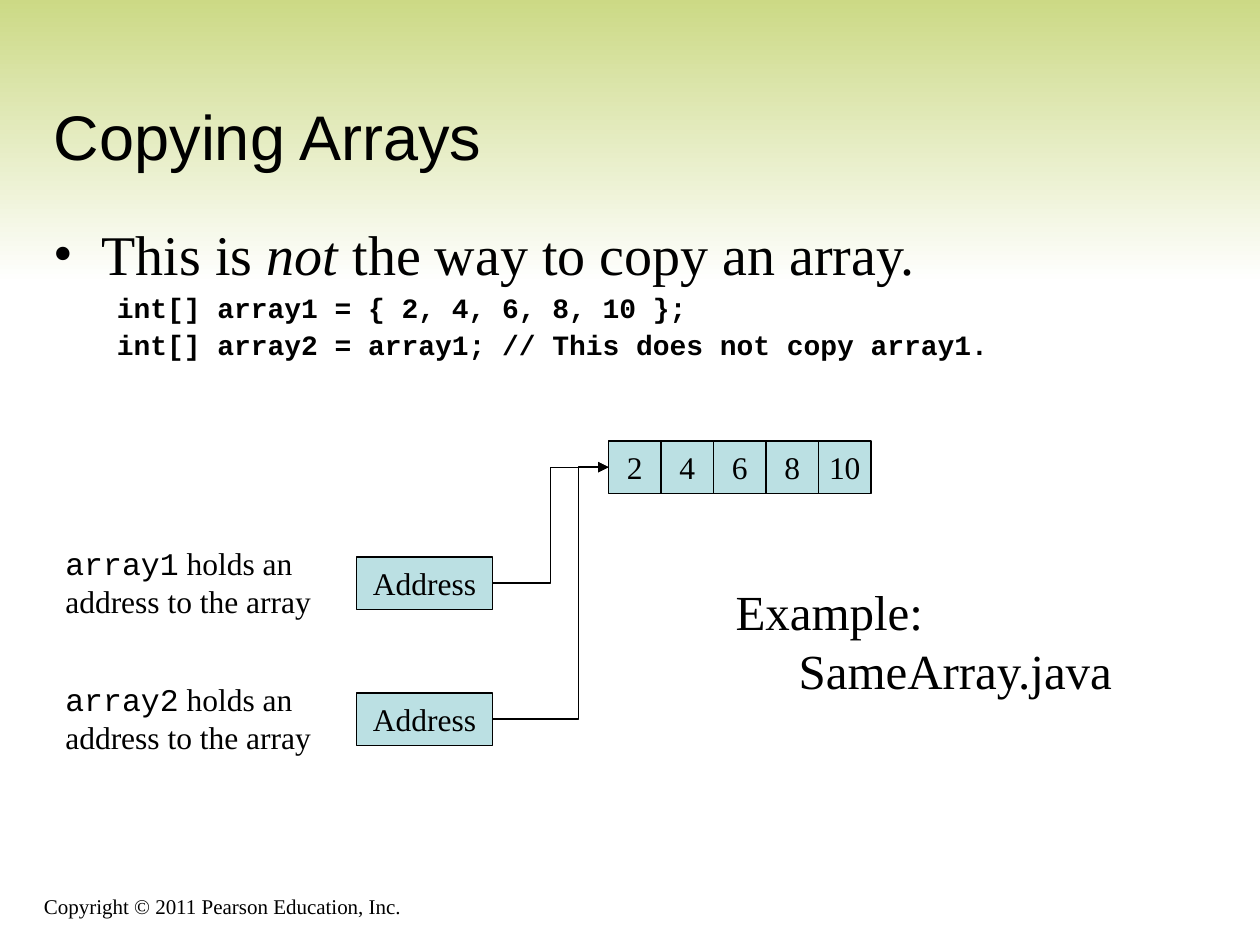
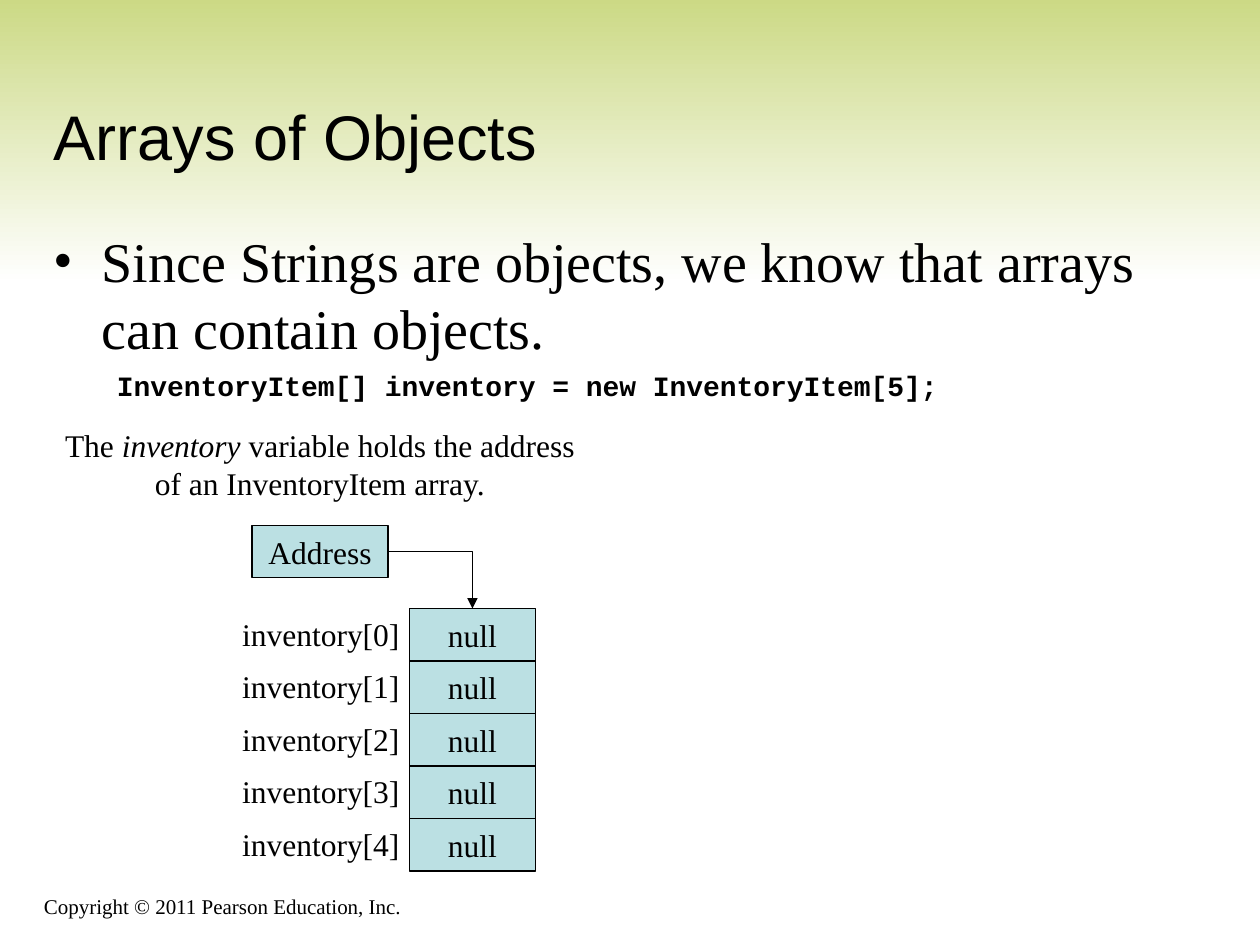
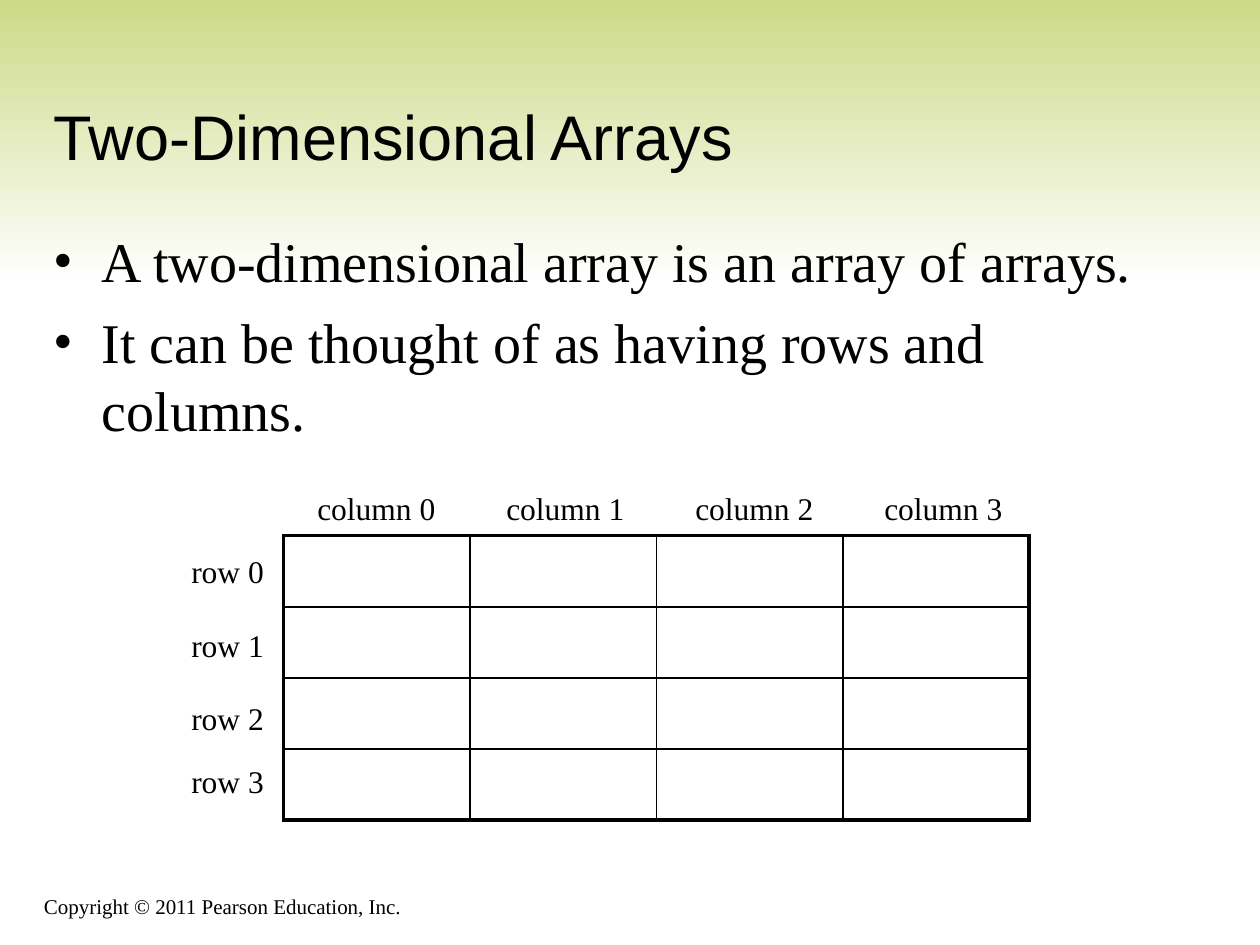
from pptx import Presentation
from pptx.dml.color import RGBColor
from pptx.enum.shapes import MSO_CONNECTOR as CONNECTOR, MSO_SHAPE as SHAPE
from pptx.enum.text import MSO_ANCHOR as ANCHOR, MSO_AUTO_SIZE as FIT, PP_ALIGN as ALIGN
from pptx.oxml.ns import qn
from pptx.util import Inches, Pt
from lxml.etree import SubElement

COLORS = {"text": "000000", "cell": "BBE0E3", "band": "CAD881", "paper": "FFFFFF"}
SERIF, SANS, MONO = "Times New Roman", "Arial", "Courier New"
CELL = 5 / 12  # height of every memory cell
ADDRESS_WIDTH = 1.08
TOP, LEFT, RIGHT = 0, 1, 3  # connection sites of a rectangle
COPYRIGHT = "Copyright © 2011 Pearson Education, Inc."


def rgb(name):
    return RGBColor.from_string(COLORS[name])


def add_span(para, text, font=SERIF, size=18, bold=False, italic=False):
    """Append text to a paragraph; a newline becomes a line break."""
    for number, line in enumerate(text.split("\n")):
        if number:
            para.add_line_break()
        span = para.add_run()
        span.text = line
        span.font.name, span.font.size = font, Pt(size)
        span.font.bold, span.font.italic = bold, italic
        span.font.color.rgb = rgb("text")


def set_indent(para, margin, hanging, bullet=None):
    properties = para._p.get_or_add_pPr()
    properties.set("marL", str(Inches(margin)))
    properties.set("indent", str(-Inches(hanging)))
    if bullet:
        color = SubElement(properties, qn("a:buClr"))
        SubElement(color, qn("a:srgbClr")).set("val", COLORS["text"])
        SubElement(properties, qn("a:buFont")).set("typeface", SERIF)
        SubElement(properties, qn("a:buChar")).set("char", bullet)


class Deck:
    def __init__(self):
        self.file = Presentation()
        self.file.slide_width, self.file.slide_height = Inches(10), Inches(7.5)
        self.page = None

    def new_page(self, title):
        self.page = self.file.slides.add_slide(self.file.slide_layouts[6])
        background = self.page.background.fill
        background.solid()
        background.fore_color.rgb = rgb("paper")
        self.band()
        self.text(0.25, 6.92, 6.08, 0.42, [COPYRIGHT], anchor=ANCHOR.BOTTOM, size=12)
        self.text(0.33, 0.33, 9.42, 1.09, [title], anchor=ANCHOR.BOTTOM, font=SANS, size=36)

    def band(self):
        band = self.page.shapes.add_shape(
            SHAPE.RECTANGLE, 0, Inches(-0.08), Inches(10), Inches(2.33))
        band.shadow.inherit = False
        band.line.fill.background()
        band.fill.gradient()
        band.fill.gradient_angle = 270
        for stop, position, name in zip(band.fill.gradient_stops, (0, 1), ("band", "paper")):
            stop.position, stop.color.rgb = position, rgb(name)

    def text(self, left, top, width, height, paragraphs,
             anchor=ANCHOR.TOP, align=ALIGN.LEFT, **style):
        """Add a text box; a paragraph is a string or a list of (text, style) pairs."""
        box = self.page.shapes.add_textbox(
            Inches(left), Inches(top), Inches(width), Inches(height))
        frame = box.text_frame
        frame.word_wrap, frame.auto_size = True, FIT.NONE
        frame.vertical_anchor = anchor
        for number, spans in enumerate(paragraphs):
            para = frame.add_paragraph() if number else frame.paragraphs[0]
            para.alignment = align
            for words, extra in [(spans, {})] if isinstance(spans, str) else spans:
                add_span(para, words, **{**style, **extra})
        return box

    def body(self, height, bullets, code=(), line_spacing=1.0):
        """Add bulleted paragraphs followed by indented lines of code."""
        code_lines = [[(line, dict(font=MONO, size=16, bold=True))] for line in code]
        box = self.text(0.33, 1.75, 9.07, height, [*bullets, *code_lines], size=32)
        box.text_frame.margin_right = 0
        for number, para in enumerate(box.text_frame.paragraphs):
            is_bullet = number < len(bullets)
            para.line_spacing = line_spacing
            if number:
                para.space_before = Pt(8 if is_bullet else 4)
            if is_bullet:
                set_indent(para, 0.38, 0.38, "•")
            else:
                set_indent(para, 0.81, 0.31)

    def cell(self, left, top, width, label):
        box = self.page.shapes.add_shape(
            SHAPE.RECTANGLE, Inches(left), Inches(top), Inches(width), Inches(CELL))
        box.shadow.inherit = False
        box.fill.solid()
        box.fill.fore_color.rgb = rgb("cell")
        box.line.color.rgb, box.line.width = rgb("text"), Pt(0.75)
        frame = box.text_frame
        frame.word_wrap, frame.vertical_anchor = False, ANCHOR.MIDDLE
        frame.paragraphs[0].alignment = ALIGN.CENTER
        add_span(frame.paragraphs[0], label)
        return box

    def line(self, start, end, width, kind=CONNECTOR.STRAIGHT):
        line = self.page.shapes.add_connector(
            kind, *(Inches(length) for length in (*start, *end)))
        line.line.color.rgb, line.line.width = rgb("text"), Pt(width)
        properties = line.element.spPr
        properties.find(qn("a:ln")).set("cap", "sq")
        SubElement(properties, qn("a:effectLst"))
        return line

    def pointer(self, source, target, site, bend=None):
        """Join two cells with an elbow arrow; without a bend it has a single corner."""
        arrow = self.line((0, 0), (1, 1), 0.75, CONNECTOR.ELBOW)
        arrow.begin_connect(source, RIGHT)
        arrow.end_connect(target, site)
        properties = arrow.element.spPr
        SubElement(properties.find(qn("a:ln")), qn("a:tailEnd")).set("type", "triangle")
        geometry = properties.find(qn("a:prstGeom"))
        if bend is None:
            geometry.set("prst", "bentConnector2")
            return
        guides = geometry.find(qn("a:avLst"))
        if guides is None:
            guides = SubElement(geometry, qn("a:avLst"))
        guide = SubElement(guides, qn("a:gd"))
        guide.set("name", "adj1")
        guide.set("fmla", f"val {round(bend * 100000)}")


def copying_arrays(deck):
    deck.new_page("Copying Arrays")
    deck.body(1.53,
              [[("This is ", {}), ("not", dict(italic=True)),
                (" the way to copy an array.", {})]],
              ["int[] array1 = { 2, 4, 6, 8, 10 };",
               "int[] array2 = array1; // This does not copy array1."],
              line_spacing=0.9)
    values = [deck.cell(4.83 + index * CELL, 3.5, CELL, value)
              for index, value in enumerate(["2", "4", "6", "8", "10"])]
    for name, top, bend in (("array1", 4.42, 0.5), ("array2", 5.5, 0.74)):
        address = deck.cell(2.83, top, ADDRESS_WIDTH, "Address")
        deck.text(0.42, top - 0.15, 2.25, 0.7,
                  [[(name, dict(font=MONO)), (" holds an", {})], "address to the array"])
        deck.pointer(address, values[0], LEFT, bend)
    example = deck.text(5.74, 4.57, 3.3, 1.04, ["Example:\nSameArray.java"], size=28)
    set_indent(example.text_frame.paragraphs[0], 0.5, 0.5)


def arrays_of_objects(deck):
    deck.new_page("Arrays of Objects")
    deck.body(1.61,
              ["Since Strings are objects, we know that arrays can contain objects."],
              ["InventoryItem[] inventory = new InventoryItem[5];"])
    deck.text(0.34, 3.33, 4.4, 0.7,
              [[("The ", {}), ("inventory", dict(italic=True)),
                (" variable holds the address", {})],
               "of an InventoryItem array."],
              align=ALIGN.CENTER)
    address = deck.cell(2, 4.17, ADDRESS_WIDTH, "Address")
    items = []
    for index in range(5):
        top = 4.83 + index * CELL
        items.append(deck.cell(3.25, top, 1, "null"))
        deck.text(1.75, top, 1.52, 0.4, [f"inventory[{index}]"], align=ALIGN.RIGHT)
    deck.pointer(address, items[0], TOP)


def two_dimensional_arrays(deck):
    deck.new_page("Two-Dimensional Arrays")
    deck.body(2.26, ["A two-dimensional array is an array of arrays.",
                     "It can be thought of as having rows and columns."])
    left, top, right, bottom = 2.25, 4.25, 8.17, 6.51
    count = 4
    for index in range(count + 1):
        width = 2.25 if index in (0, count) else 1
        x = left + index * (right - left) / count
        y = top + index * (bottom - top) / count
        deck.line((left, y), (right, y), width)
        deck.line((x, top), (x, bottom), width)
    for index, label_top in enumerate((4.33, 4.92, 5.5, 6)):
        deck.text(1.42, label_top, 0.83, 0.4, [f"row {index}"])
        deck.text(2.42 + 1.5 * index, 3.83, 1.2, 0.4, [f"column {index}"])


def main():
    deck = Deck()
    copying_arrays(deck)
    arrays_of_objects(deck)
    two_dimensional_arrays(deck)
    deck.file.save("out.pptx")


if __name__ == "__main__":
    main()
